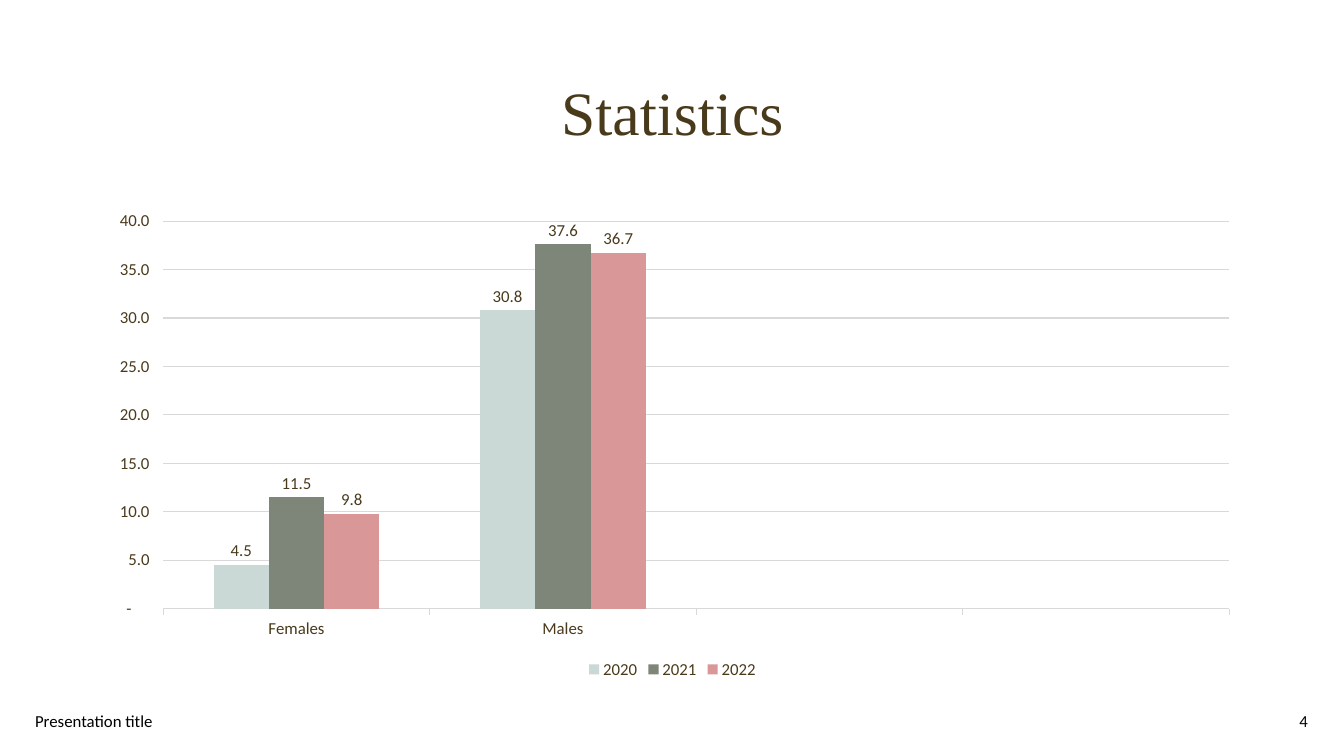
from pptx import Presentation
from pptx import util as u
from pptx.chart.data import CategoryChartData
from pptx.dml.color import RGBColor
from pptx.enum import chart as ch
from pptx.enum import text

COLORS = {
    "ink": "4A3A1C", "black": "000000", "grid": "D9D9D9",
    "2020": "CAD8D6", "2021": "7E8679", "2022": "D99797",
}
CAPTIONS = [
    ("Statistics", (0.92, 0.42, 11.5, 1.45), "CENTER", 44, "Times New Roman", "ink", 0.9),
    ("Presentation title", (0.25, 6.95, 4.5, 0.4), "LEFT", 12, "Calibri", "black", 1.0),
    ("4", (10.07, 6.95, 3, 0.4), "RIGHT", 12, "Calibri", "black", 1.0),
]
GROUPS = ["Females", "Males", "", ""]
YEARS = {
    "2020": [4.5, 30.8, None, None],
    "2021": [11.5, 37.6, None, None],
    "2022": [9.8, 36.7, None, None],
}
CHART_BOX = (0.92, 2, 11.5, 4.78)
NUMBER_FORMAT = '_(* #,##0.0_);_(* \\(#,##0.0\\);_(* "-"??_);_(@_)'
FORMATS = {
    "chart": {"has_title": False, "has_legend": True},
    "bars": {"gap_width": 182, "overlap": 0, "vary_by_categories": False},
    "legend": {"position": ch.XL_LEGEND_POSITION.BOTTOM, "include_in_layout": False},
    "scale": {"minimum_scale": 0, "maximum_scale": 40, "major_unit": 5,
              "has_major_gridlines": True},
    "numbers": {"number_format": NUMBER_FORMAT, "number_format_is_linked": False},
    "labels": {"show_value": True, "position": ch.XL_LABEL_POSITION.OUTSIDE_END},
}


def apply(target, values):
    for name, value in values.items():
        setattr(target, name, value)


def color(name):
    return RGBColor.from_string(COLORS[name])


def style_font(font, size, face, ink):
    apply(font, {"size": u.Pt(size), "name": face, "bold": False})
    font.color.rgb = color(ink)


def style_line(line):
    line.color.rgb = color("grid")
    line.width = u.Pt(0.75)


def add_caption(slide, words, box, align, size, face, ink, spacing):
    frame = slide.shapes.add_textbox(*map(u.Inches, box)).text_frame
    apply(frame, {"word_wrap": True, "vertical_anchor": text.MSO_ANCHOR.MIDDLE})
    line = frame.paragraphs[0]
    apply(line, {"text": words, "alignment": text.PP_ALIGN[align], "line_spacing": spacing})
    style_font(line.runs[0].font, size, face, ink)


def add_statistics(slide):
    data = CategoryChartData()
    data.categories = GROUPS
    for year, values in YEARS.items():
        data.add_series(year, values)
    chart = slide.shapes.add_chart(
        ch.XL_CHART_TYPE.COLUMN_CLUSTERED, *map(u.Inches, CHART_BOX), data).chart
    apply(chart, FORMATS["chart"])
    style_font(chart.font, 10, "Calibri", "black")
    bars, groups, scale = chart.plots[0], chart.category_axis, chart.value_axis
    apply(bars, FORMATS["bars"])
    apply(chart.legend, FORMATS["legend"])
    apply(scale, FORMATS["scale"])
    apply(scale.tick_labels, FORMATS["numbers"])
    style_line(groups.format.line)
    style_line(scale.major_gridlines.format.line)
    scale.format.line.fill.background()
    for part in (groups.tick_labels, scale.tick_labels, chart.legend):
        style_font(part.font, 12, "Calibri", "ink")
    for year in bars.series:
        year.format.fill.solid()
        year.format.fill.fore_color.rgb = color(year.name)
        apply(year.data_labels, FORMATS["numbers"] | FORMATS["labels"])
        style_font(year.data_labels.font, 12, "Calibri", "ink")


def main():
    deck = Presentation()
    apply(deck, {"slide_width": u.Inches(13.33), "slide_height": u.Inches(7.5)})
    slide = deck.slides.add_slide(deck.slide_layouts[6])
    add_statistics(slide)
    for caption in CAPTIONS:
        add_caption(slide, *caption)
    deck.save("out.pptx")


if __name__ == "__main__":
    main()
